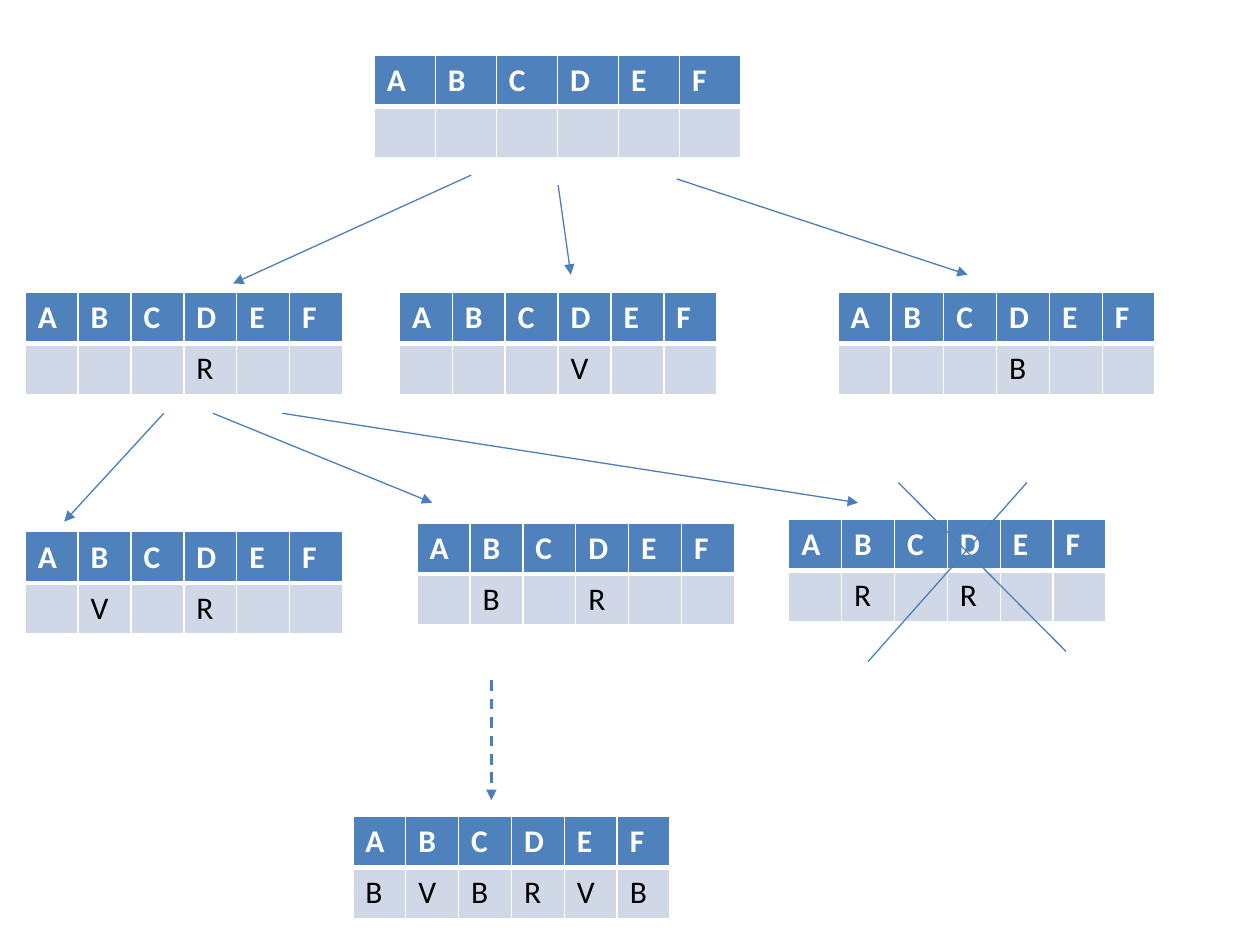
from lxml.etree import SubElement
from pptx import Presentation
from pptx.dml.color import RGBColor
from pptx.enum.dml import MSO_LINE
from pptx.enum.shapes import MSO_CONNECTOR
from pptx.oxml.ns import qn
from pptx.util import Inches, Pt

COLORS = {
    "header": "4F81BD",
    "body": "D0D8E8",
    "border": "FFFFFF",
    "header_text": "FFFFFF",
    "body_text": "000000",
    "line": "4B7EBC",
}
FONT = "Calibri"
LETTERS = "ABCDEF"
GRID_COLS, GRID_ROWS = 100, 75
SLIDE_W, SLIDE_H = Inches(10), Inches(7.5)
TABLE_W, ROOT_W, ROW_H = 25.2, 29.1, 4

TABLES = [
    (29.7, 4.4, ROOT_W, "      "),
    (2, 23.2, TABLE_W, "   R  "),
    (31.7, 23.2, TABLE_W, "   V  "),
    (66.5, 23.2, TABLE_W, "   B  "),
    (2, 42.2, TABLE_W, " V R  "),
    (33.1, 41.5, TABLE_W, " B R  "),
    (62.6, 41.2, TABLE_W, " R R  "),
    (28, 64.8, TABLE_W, "BVBRVB"),
]
ARROWS = [
    (37.4, 13.9, 18.5, 22.5),
    (44.3, 14.7, 45.3, 21.8),
    (53.7, 14.2, 76.8, 21.8),
    (13, 32.8, 5.1, 41.4),
    (16.9, 32.8, 34.3, 39.9),
    (22.4, 32.8, 68.1, 39.9),
]
CROSS = [(71.3, 38.3, 84.6, 51.7), (68.9, 52.5, 81.5, 38.3)]
DASHED_ARROW = (39, 54, 39, 63.5)


def rgb(name):
    return RGBColor.from_string(COLORS[name])


def x(cols):
    return round(SLIDE_W * cols / GRID_COLS)


def y(rows):
    return round(SLIDE_H * rows / GRID_ROWS)


def set_borders(cell, top, bottom):
    tcPr = cell._tc.get_or_add_tcPr()
    for side, width in (("L", 1), ("R", 1), ("T", top), ("B", bottom)):
        ln = SubElement(tcPr, qn(f"a:ln{side}"), w=str(Pt(width)))
        fill = SubElement(ln, qn("a:solidFill"))
        SubElement(fill, qn("a:srgbClr"), val=COLORS["border"])


def fill_cell(cell, text, kind):
    is_header = kind == "header"
    set_borders(cell, *((1, 3) if is_header else (3, 1)))
    cell.fill.solid()
    cell.fill.fore_color.rgb = rgb(kind)
    p = cell.text_frame.paragraphs[0]
    p.font.size = Pt(18)
    if text.strip():
        r = p.add_run()
        r.text = text
        r.font.name = FONT
        r.font.size = Pt(18)
        r.font.bold = is_header
        r.font.color.rgb = rgb(f"{kind}_text")


def add_state(s, left, top, width, values):
    n = len(LETTERS)
    table = s.shapes.add_table(2, n, x(left), y(top), x(width), y(2 * ROW_H)).table
    table.horz_banding = False
    for col in table.columns:
        col.width = x(width / n)
    for row, (kind, texts) in enumerate((("header", LETTERS), ("body", values))):
        table.rows[row].height = y(ROW_H)
        for col, text in enumerate(texts):
            fill_cell(table.cell(row, col), text, kind)


def add_line(s, ends, arrow=True, width=0.75, dash=None):
    x1, y1, x2, y2 = ends
    c = s.shapes.add_connector(MSO_CONNECTOR.STRAIGHT, x(x1), y(y1), x(x2), y(y2))
    c.line.color.rgb = rgb("line")
    c.line.width = Pt(width)
    if dash:
        c.line.dash_style = dash
    if arrow:
        SubElement(c.line._get_or_add_ln(), qn("a:tailEnd"), type="triangle")
    SubElement(c._element.spPr, qn("a:effectLst"))


def main():
    prs = Presentation()
    prs.slide_width, prs.slide_height = SLIDE_W, SLIDE_H
    s = prs.slides.add_slide(prs.slide_layouts[6])
    for state in TABLES:
        add_state(s, *state)
    for ends in ARROWS:
        add_line(s, ends)
    for ends in CROSS:
        add_line(s, ends, arrow=False)
    add_line(s, DASHED_ARROW, width=1.5, dash=MSO_LINE.DASH)
    prs.save("out.pptx")


if __name__ == "__main__":
    main()
